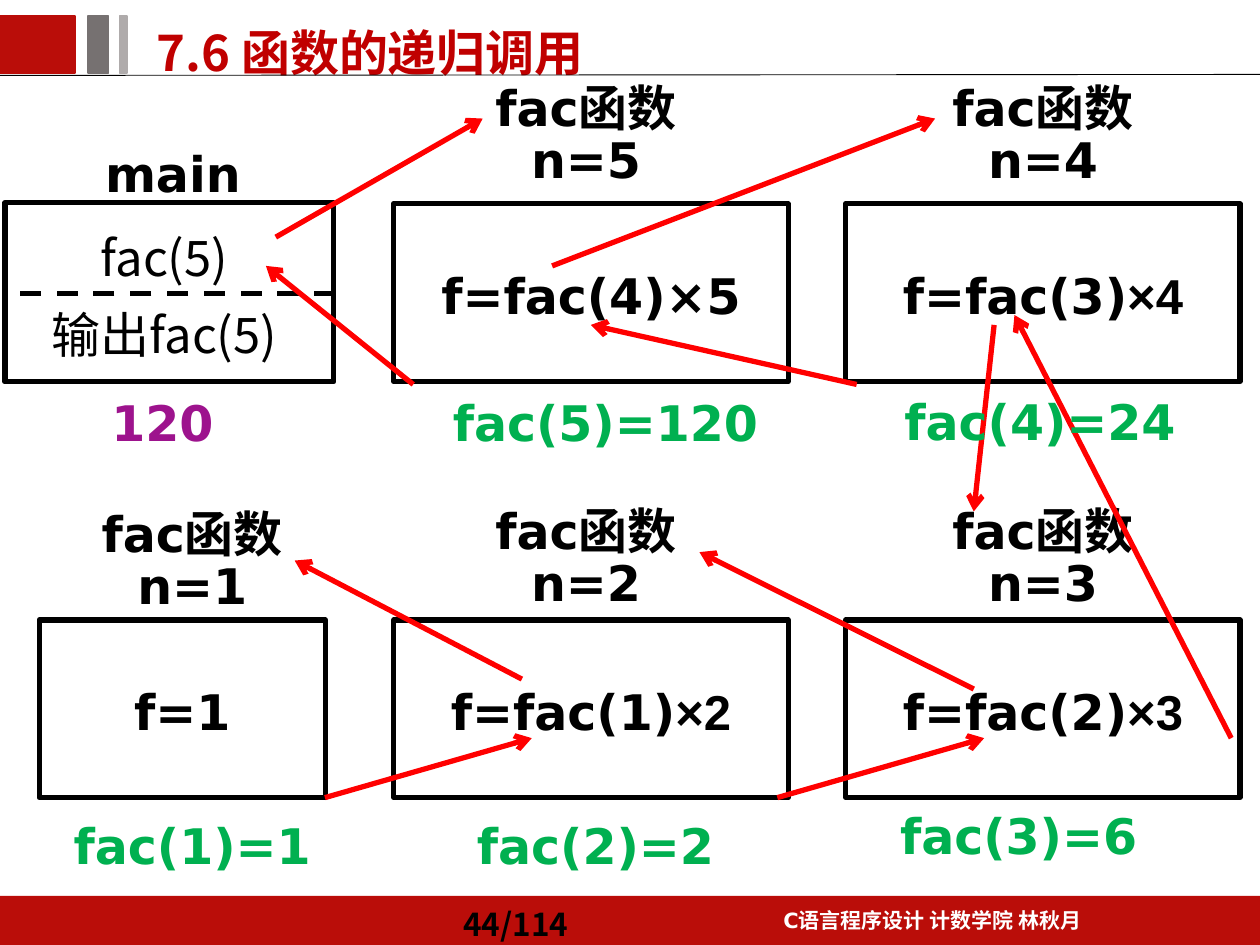
"""Build the slide that traces the recursive calls of fac(5)."""
from dataclasses import dataclass

from lxml import etree
from pptx import Presentation
from pptx.dml.color import RGBColor
from pptx.enum import dml, shapes, text
from pptx.oxml import ns
from pptx.util import Cm, Pt

RED = RGBColor(0xBA, 0x0D, 0x09)
CRIMSON = RGBColor(0xC0, 0x00, 0x00)
BRIGHT = RGBColor(0xFF, 0x00, 0x00)
GREEN = RGBColor(0x00, 0xB0, 0x50)
PURPLE = RGBColor(0x9D, 0x13, 0x8D)
GRAY = RGBColor(0x76, 0x71, 0x71)
SILVER = RGBColor(0xAF, 0xAB, 0xAB)
BLACK = RGBColor(0, 0, 0)
WHITE = RGBColor(0xFF, 0xFF, 0xFF)
SANS, CJK, ARIAL = "DejaVu Sans", "Noto Sans CJK SC", "Arial"


@dataclass
class Area:
    x: float
    y: float
    w: float
    h: float

    def cm(self) -> tuple:
        return Cm(self.x), Cm(self.y), Cm(self.w), Cm(self.h)


@dataclass
class Style:
    size: float = 28
    color: RGBColor = BLACK
    face: str = SANS
    bold: bool = True
    align: int = text.PP_ALIGN.CENTER
    lead: float = 1.2
    gap: float = 0


@dataclass
class Call:
    n: int
    box: Area
    head: Area
    result: Area
    value: int
    expr: tuple


@dataclass
class Arrow:
    x1: float
    y1: float
    x2: float
    y2: float


def write(frame, lines: list, style: Style) -> None:
    """Fill a frame; each line is a tuple of runs, later runs in another face."""
    frame.word_wrap = True
    frame.auto_size = text.MSO_AUTO_SIZE.NONE
    for i, runs in enumerate(lines):
        para = frame.add_paragraph() if i else frame.paragraphs[0]
        para.alignment = style.align
        para.line_spacing = style.lead
        para.space_before = Pt(style.gap if i else 0)
        props = para._p.get_or_add_pPr()
        props.set("marL", "0")
        props.set("indent", "0")
        etree.SubElement(props, ns.qn("a:buNone"))
        font = para.font
        font.size, font.bold = Pt(style.size), style.bold
        font.color.rgb, font.name = style.color, style.face
        east = etree.SubElement(font._element, ns.qn("a:ea"))
        east.set("typeface", CJK)
        for j, part in enumerate(runs):
            run = para.add_run()
            run.text = part
            if j:
                run.font.name = ARIAL


def label(slide, area: Area, lines: list, style: Style):
    """Add a text box."""
    box = slide.shapes.add_textbox(*area.cm())
    write(box.text_frame, lines, style)
    return box


def place(holder, area: Area, lines: list, style: Style, anchor: int) -> None:
    """Move and fill a placeholder."""
    holder.left, holder.top, holder.width, holder.height = area.cm()
    holder.text_frame.vertical_anchor = anchor
    write(holder.text_frame, lines, style)


def block(slide, area: Area, fill: RGBColor | None = None,
          edge: RGBColor | None = None, width: float = 1):
    """Add a rectangle with an optional fill and edge."""
    rect = slide.shapes.add_shape(shapes.MSO_SHAPE.RECTANGLE, *area.cm())
    rect.shadow.inherit = False
    if fill is None:
        rect.fill.background()
    else:
        rect.fill.solid()
        rect.fill.fore_color.rgb = fill
    if edge is None:
        rect.line.fill.background()
    else:
        rect.line.color.rgb, rect.line.width = edge, Pt(width)
    return rect


def rule(slide, way: Arrow, color: RGBColor, width: float = 3):
    """Add a straight line."""
    ends = map(Cm, (way.x1, way.y1, way.x2, way.y2))
    line = slide.shapes.add_connector(shapes.MSO_CONNECTOR.STRAIGHT, *ends)
    line.line.color.rgb, line.line.width = color, Pt(width)
    etree.SubElement(line._element.spPr, ns.qn("a:effectLst"))
    return line


def arrow(slide, way: Arrow) -> None:
    """Add a red line with an open head at its end."""
    line = rule(slide, way, BRIGHT)
    etree.SubElement(line.line._ln, ns.qn("a:tailEnd")).set("type", "arrow")


def draw(slide, call: Call) -> None:
    """Draw the box and heading of one call."""
    rect = block(slide, call.box, edge=BLACK, width=3)
    frame = rect.text_frame
    frame.margin_top = Cm(1)
    frame.vertical_anchor = text.MSO_ANCHOR.TOP
    write(frame, [call.expr], Style())
    label(slide, call.head, [("fac函数",), (f"n={call.n}",)],
          Style(lead=Pt(24), gap=5.6))


def trim(slide) -> None:
    """Draw the header marks and the footer band."""
    block(slide, Area(0, 18.06, 25.4, 0.99), RED)
    label(slide, Area(14.3, 18.06, 8.99, 0.86), [("C", "语言程序设计 计数学院 林秋月")],
          Style(12, WHITE))
    rule(slide, Arrow(0, 1.52, 25.4, 1.5), BLACK, 0.5)
    for x, w, color in ((0, 1.52, RED), (1.78, 0.41, GRAY), (2.41, 0.15, SILVER)):
        block(slide, Area(x, 0.33, w, 1.14), color, color)
    page = label(slide, Area(9.09, 18.06, 3.61, 0.99), [("44/114",)],
                 Style(18, face=CJK, align=text.PP_ALIGN.LEFT))
    page.text_frame.vertical_anchor = text.MSO_ANCHOR.MIDDLE


MID, FAR, WIDE, TALL = 7.94, 17.05, 7.95, 3.58
TOP, LOW = 4.11, 12.5
CALLS = [
    Call(5, Area(MID, TOP, WIDE, TALL), Area(MID, 1.78, 7.75, 2.54),
         Area(8.33, 8.13, 7.75, 1.57), 120, ("f=fac(4)×5",)),
    Call(4, Area(FAR, TOP, WIDE, TALL), Area(FAR, 1.78, WIDE, 2.54),
         Area(17.09, 8.1, 7.75, 1.57), 24, ("f=fac(3)", "×4")),
    Call(2, Area(MID, LOW, WIDE, TALL), Area(MID, 10.31, 7.75, 2.34),
         Area(8.13, 16.66, 7.75, 1.57), 2, ("f=fac(1)", "×2")),
    Call(3, Area(FAR, LOW, WIDE, TALL), Area(FAR, 10.31, WIDE, 2.13),
         Area(16.66, 16.46, 7.75, 1.57), 6, ("f=fac(2)", "×3")),
    Call(1, Area(0.79, LOW, 5.77, TALL), Area(0, 10.36, 7.75, 2.13),
         Area(0, 16.66, 7.75, 1.57), 1, ("f=1",)),
]
ARROWS = [
    Arrow(5.56, 4.78, 9.73, 2.39), Arrow(11.13, 5.36, 18.85, 2.39),
    Arrow(20.04, 6.55, 19.63, 10.31), Arrow(19.63, 13.89, 14.1, 11.13),
    Arrow(10.52, 13.69, 5.94, 11.3), Arrow(6.55, 16.08, 10.72, 14.88),
    Arrow(15.67, 16.08, 19.84, 14.88), Arrow(24.82, 14.88, 20.45, 6.35),
    Arrow(17.27, 7.75, 11.91, 6.55), Arrow(8.33, 7.75, 5.36, 5.36),
]


def main() -> None:
    """Build and save the deck."""
    deck = Presentation()
    deck.slide_width, deck.slide_height = Cm(25.4), Cm(19.05)
    slide = deck.slides.add_slide(deck.slide_layouts[1])
    trim(slide)
    place(slide.shapes.title, Area(2.9, 0.08, 12.22, 1.7), [("7.6 函数的递归调用",)],
          Style(color=CRIMSON, face=CJK, align=text.PP_ALIGN.LEFT),
          text.MSO_ANCHOR.MIDDLE)
    block(slide, Area(0.1, 4.09, 6.63, 3.61), edge=BLACK, width=3)
    place(slide.placeholders[1], Area(0, 4.11, 6.63, 3.61),
          [("fac(5)",), ("输出fac(5)",)], Style(face=CJK, bold=False, lead=1.3),
          text.MSO_ANCHOR.TOP)
    label(slide, Area(1.4, 2.54, 4.17, 1.78), [("main",)], Style())
    split = rule(slide, Arrow(6.76, 5.92, 0.2, 5.92), BLACK)
    split.line.dash_style = dml.MSO_LINE.DASH
    for call in CALLS:
        draw(slide, call)
    for way in ARROWS:
        arrow(slide, way)
    for call in CALLS:
        label(slide, call.result, [(f"fac({call.n})={call.value}",)],
              Style(color=GREEN, lead=Pt(24)))
    label(slide, Area(0.99, 8.13, 4.57, 1.19), [("120",)],
          Style(color=PURPLE, lead=Pt(24)))
    deck.save("out.pptx")


if __name__ == "__main__":
    main()
